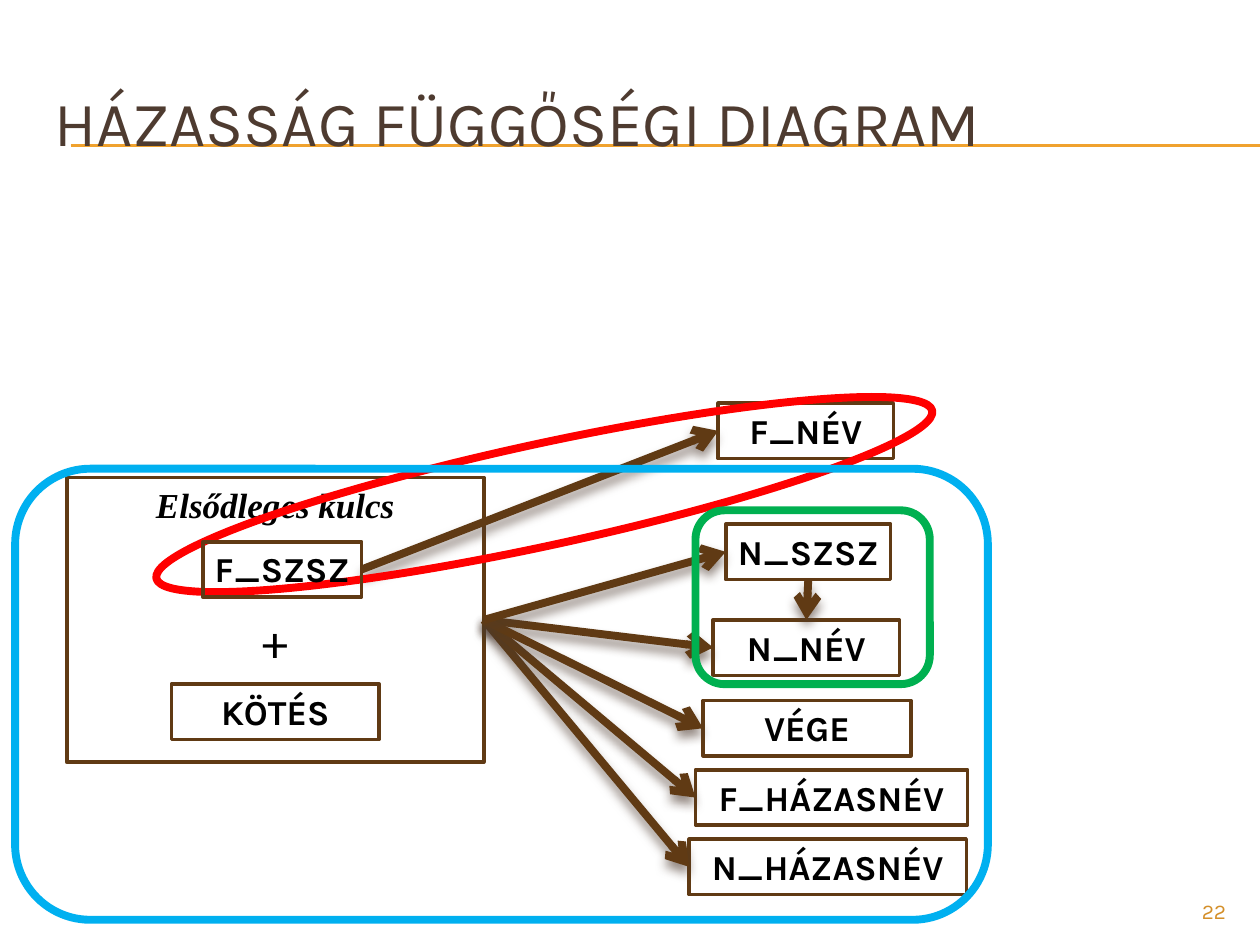
from lxml import etree
from pptx import Presentation
from pptx.dml.color import RGBColor
from pptx.enum.shapes import MSO_CONNECTOR, MSO_SHAPE
from pptx.enum.text import MSO_ANCHOR, MSO_AUTO_SIZE, PP_ALIGN
from pptx.oxml import parse_xml
from pptx.oxml.ns import nsdecls, qn
from pptx.util import Inches, Pt

STRAIGHT = MSO_CONNECTOR.STRAIGHT
RECTANGLE, OVAL, ROUNDED = MSO_SHAPE.RECTANGLE, MSO_SHAPE.OVAL, MSO_SHAPE.ROUNDED_RECTANGLE
TOP, MIDDLE = MSO_ANCHOR.TOP, MSO_ANCHOR.MIDDLE
LEFT, CENTER, RIGHT = PP_ALIGN.LEFT, PP_ALIGN.CENTER, PP_ALIGN.RIGHT
NO_FIT = MSO_AUTO_SIZE.NONE

BLACK = RGBColor(0x00, 0x00, 0x00)
BROWN = RGBColor(0x60, 0x3A, 0x14)
DARK_BROWN = RGBColor(0x4E, 0x3B, 0x30)
GOLD = RGBColor(0xF0, 0xA2, 0x2E)
DARK_GOLD = RGBColor(0xD4, 0x8F, 0x29)
RED = RGBColor(0xFF, 0x00, 0x00)
BLUE = RGBColor(0x00, 0xB0, 0xF0)
GREEN = RGBColor(0x00, 0xB0, 0x50)

WIDTH, HEIGHT = 10, 7.5
BOX_HEIGHT = 0.44
BOX_MARGIN = 0.02
TITLE = "HÁZASSÁG FÜGGŐSÉGI DIAGRAM"
PAGE_NUMBER = "22"
RULES = [1.15, 1.16]
KEY = (0.53, 3.79, 3.31, 2.26)
ATTRIBUTES = {
    "F_NÉV": (5.7, 3.2, 1.39),
    "N_NÉV": (5.66, 4.92, 1.48),
    "VÉGE": (5.58, 5.56, 1.65),
    "F_HÁZASNÉV": (5.52, 6.11, 2.16),
    "N_HÁZASNÉV": (5.47, 6.66, 2.2),
    "KÖTÉS": (1.36, 5.43, 1.65),
}
IDENTIFIERS = {"F_SZSZ": (1.61, 4.3, 1.26), "N_SZSZ": (5.76, 4.16, 1.31)}
KEY_DEPENDENTS = ["N_NÉV", "N_HÁZASNÉV", "F_HÁZASNÉV", "VÉGE", "N_SZSZ"]
RELATIONS = [
    (OVAL, (1.17, 3.52, 6.3, 0.81), -12.2, RED),
    (ROUNDED, (0.12, 3.72, 7.72, 3.58), 0, BLUE),
    (ROUNDED, (5.52, 4.05, 1.86, 1.38), 0, GREEN),
]
LABEL = {"name": "Karla", "size": Pt(20), "bold": True}
KEY_NAME = {"name": "Times New Roman", "size": Pt(20), "bold": True, "italic": True}
PLUS = {"name": "Karla", "size": Pt(28), "bold": False}

FRAMES = {name: (*place, BOX_HEIGHT) for name, place in (ATTRIBUTES | IDENTIFIERS).items()}


def write(paragraph, text, font, color, alignment):
    paragraph.alignment = alignment
    run = paragraph.add_run()
    run.text = text
    for name, value in font.items():
        setattr(run.font, name, value)
    run.font.color.rgb = color


def set_frame(frame, anchor):
    for name, value in {"word_wrap": True, "auto_size": NO_FIT, "vertical_anchor": anchor}.items():
        setattr(frame, name, value)


def add_outline(slide, kind, place, color, width, rotation=0):
    shape = slide.shapes.add_shape(kind, *map(Inches, place))
    shape.shadow.inherit = False
    shape.fill.background()
    shape.line.color.rgb = color
    shape.line.width = Pt(width)
    shape.rotation = rotation
    return shape


def add_box(slide, place, lines):
    frame = add_outline(slide, RECTANGLE, place, BROWN, 2).text_frame
    set_frame(frame, TOP)
    frame.margin_left = frame.margin_right = Inches(BOX_MARGIN)
    for index, (text, font, space) in enumerate(lines):
        paragraph = frame.add_paragraph() if index else frame.paragraphs[0]
        paragraph.space_before = Pt(space)
        write(paragraph, text, font, BLACK, CENTER)


def add_line(slide, start, end, color, width):
    line = slide.shapes.add_connector(STRAIGHT, *map(Inches, (*start, *end)))
    line.line.color.rgb = color
    line.line.width = Pt(width)
    effects = etree.SubElement(line._element.spPr, qn("a:effectLst"))
    return line, effects


def add_arrow(slide, start, end):
    line, effects = add_line(slide, start, end, BROWN, 4.5)
    etree.SubElement(line.line._get_or_add_ln(), qn("a:tailEnd"), type="arrow")
    effects.append(parse_xml(
        f'<a:outerShdw {nsdecls("a")} blurRad="{Pt(6)}" dist="{Pt(4)}" dir="5400000" rotWithShape="0">'
        f'<a:srgbClr val="{DARK_BROWN}"><a:alpha val="60000"/></a:srgbClr></a:outerShdw>'))


def side(place, across, down):
    left, top, width, height = place
    return left + across * width, top + down * height


def add_heading(slide):
    for height in RULES:
        add_line(slide, (0.56, height), (WIDTH, height), GOLD, 0.75)
    title = slide.shapes.title
    slide.shapes._spTree.append(title._element)
    title.left, title.top, title.width, title.height = map(Inches, (0.33, 0.5, 9.5, 0.92))
    set_frame(title.text_frame, MIDDLE)
    write(title.text_frame.paragraphs[0], TITLE, {"name": "Karla", "size": Pt(36)}, DARK_BROWN, LEFT)
    number = slide.shapes.add_textbox(*map(Inches, (9, 7.08, 0.83, 0.27)))
    set_frame(number.text_frame, TOP)
    write(number.text_frame.paragraphs[0], PAGE_NUMBER, {"name": "Karla", "size": Pt(12)}, DARK_GOLD, RIGHT)


def add_diagram(slide):
    add_box(slide, KEY, [("Elsődleges kulcs", KEY_NAME, 0), ("+", PLUS, 48)])
    for name in ATTRIBUTES:
        add_box(slide, FRAMES[name], [(name, LABEL, 0)])
    add_arrow(slide, side(FRAMES["N_SZSZ"], 0.5, 1), side(FRAMES["N_NÉV"], 0.5, 0))
    for name in KEY_DEPENDENTS:
        add_arrow(slide, side(KEY, 1, 0.5), side(FRAMES[name], 0, 0.5))
    add_arrow(slide, side(FRAMES["F_SZSZ"], 1, 0.5), side(FRAMES["F_NÉV"], 0, 0.5))
    for kind, place, rotation, color in RELATIONS:
        add_outline(slide, kind, place, color, 4.5, rotation)
    for name in IDENTIFIERS:
        add_box(slide, FRAMES[name], [(name, LABEL, 0)])


def main():
    """Build the dependency diagram slide for the marriage relation."""
    presentation = Presentation()
    presentation.slide_width, presentation.slide_height = Inches(WIDTH), Inches(HEIGHT)
    slide = presentation.slides.add_slide(presentation.slide_layouts[5])
    add_heading(slide)
    add_diagram(slide)
    presentation.save("out.pptx")


if __name__ == "__main__":
    main()
